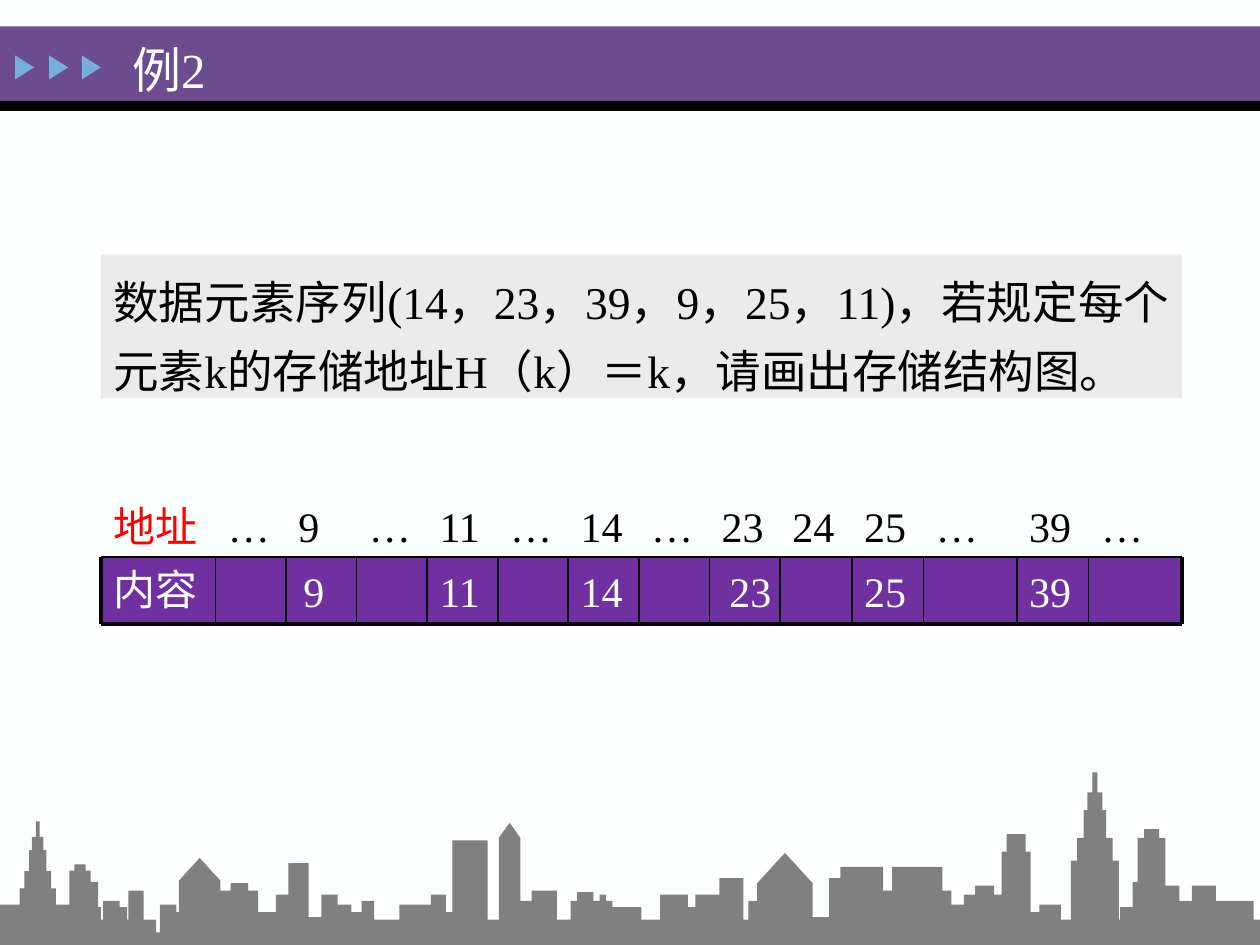
from dataclasses import dataclass
from itertools import accumulate, pairwise

from lxml.etree import SubElement
from pptx import Presentation
from pptx.dml.color import RGBColor
from pptx.enum.shapes import MSO_CONNECTOR as Connector, MSO_SHAPE as Shape
from pptx.enum.text import MSO_ANCHOR as Anchor, PP_ALIGN as Align
from pptx.oxml.ns import qn
from pptx.util import Inches, Pt

COLORS = {
    "background": "FEFFFF", "banner": "6C4C8F", "arrow": "76AEDD", "panel": "EBEBEB",
    "cell": "7030A0", "black": "000000", "red": "FF0000", "skyline": "808080",
}
FONT = "Times New Roman"
SLIDE_WIDTH, SLIDE_HEIGHT = 10, 7.5


@dataclass
class Box:
    left: float
    top: float
    width: float
    height: float

    def lengths(self):
        return [Inches(value) for value in (self.left, self.top, self.width, self.height)]


@dataclass
class Column:
    width: float
    address: str
    content: str = ""
    offset: float = 0


@dataclass
class Block:
    """A flat-roofed building; roof is measured down from the slide's top."""
    left: float
    right: float
    roof: float


@dataclass
class Crowned(Block):
    """A block that carries a narrower storey, set in from both sides."""
    inset: float
    rise: float

    def blocks(self) -> list[Block]:
        crown = Block(self.left + self.inset, self.right - self.inset, self.roof - self.rise)
        return [self, crown]


@dataclass
class Gabled(Block):
    """A block under a pointed roof."""
    rise: float

    def peak(self) -> tuple[float, float]:
        return (self.left + self.right) / 2, self.roof - self.rise


@dataclass
class Spire:
    """A tower whose tiers widen downwards from the tip."""
    center: float
    tip: float
    scale: float

    def blocks(self) -> list[Block]:
        return [Block(self.center - half_width * self.scale, self.center + half_width * self.scale,
                      self.tip + drop * self.scale) for half_width, drop in SPIRE_TIERS]


COLUMNS = [
    Column(0.91, "地址", "内容"), Column(0.56, "…"), Column(0.56, "9", "9", 0.04),
    Column(0.56, "…"), Column(0.56, "11", "11"), Column(0.56, "…"),
    Column(0.56, "14", "14"), Column(0.56, "…"), Column(0.56, "23", "23", 0.06),
    Column(0.57, "24"), Column(0.57, "25", "25"), Column(0.74, "…"),
    Column(0.57, "39", "39"), Column(0.74, "…"),
]
TABLE_LEFT, ADDRESS_TOP, CELL_TOP, CELL_BOTTOM = 0.8, 3.92, 4.42, 4.95

SPIRE_TIERS = [(0.02, 0), (0.06, 0.16), (0.09, 0.3), (0.14, 0.52), (0.19, 0.7)]
SPIRES = [Spire(0.3, 6.52, 0.76), Spire(8.69, 6.13, 1)]
GABLED_HOUSES = [
    Gabled(1.42, 1.75, 6.99, 0.18), Gabled(3.96, 4.13, 6.65, 0.12), Gabled(6.01, 6.45, 7.01, 0.24),
]
CROWNED_HOUSES = [
    Crowned(0.55, 0.72, 6.91, 0.04, 0.05), Crowned(1.75, 2.05, 7.07, 0.08, 0.06),
    Crowned(4.53, 4.76, 7.15, 0.05, 0.07), Crowned(7.95, 8.18, 6.76, 0.04, 0.14),
    Crowned(9.03, 9.25, 6.65, 0.05, 0.07),
]
GROUND = [Block(0, SLIDE_WIDTH, 7.4), Block(0, 1.24, 7.3), Block(1.27, SLIDE_WIDTH, 7.3)]
# Left and right walls of the flat-roofed houses that share a roof level.
FLAT_HOUSES = {
    6.67: [(3.59, 3.87)],
    6.85: [(2.29, 2.45)],
    6.88: [(6.67, 7.01), (7.08, 7.48)],
    6.97: [(5.71, 5.9), (6.58, 6.67)],
    7.0: [(0.72, 0.78), (8.99, 9.03)],
    7.03: [(7.74, 7.89), (9.25, 9.36), (9.46, 9.65)],
    7.07: [(1.02, 1.14), (4.22, 4.42), (7.01, 7.55)],
    7.1: [(2.19, 2.29), (2.55, 2.68), (3.42, 3.54), (4.76, 4.81), (5.24, 5.46),
          (5.52, 5.71), (7.65, 7.95)],
    7.15: [(0.82, 0.95), (2.87, 2.97), (4.13, 4.22), (4.81, 4.86), (5.94, 6.01), (9.25, 9.95)],
    7.18: [(0, 0.55), (1.27, 1.4), (2.68, 2.79), (3.17, 3.54), (7.55, 7.65), (8.25, 8.42)],
    7.2: [(0.78, 0.8), (0.95, 1.01), (4.86, 5.09), (5.46, 5.52), (8.89, 8.99)],
    7.24: [(1.4, 2.19), (2.79, 2.87), (3.54, 3.59), (8.18, 8.25)],
    7.28: [(2.45, 2.55), (6.45, 6.58)],
}


def color(name: str) -> RGBColor:
    return RGBColor.from_string(COLORS[name])


def paint(shape, fill: str) -> None:
    shape.shadow.inherit = False
    shape.fill.solid()
    shape.fill.fore_color.rgb = color(fill)
    shape.line.fill.background()


def add_block(slide, box: Box, fill: str, kind=Shape.RECTANGLE):
    shape = slide.shapes.add_shape(kind, *box.lengths())
    paint(shape, fill)
    return shape


def write(shape, text: str, size: int, font_color: str, anchor=Anchor.TOP, **formats) -> None:
    frame = shape.text_frame
    frame.word_wrap = True
    frame.vertical_anchor = anchor
    paragraph = frame.paragraphs[0]
    for name, value in ({"alignment": Align.LEFT} | formats).items():
        setattr(paragraph, name, value)
    run = paragraph.add_run()
    run.text = text
    for name, value in {"size": Pt(size), "name": FONT}.items():
        setattr(run.font, name, value)
    run.font.color.rgb = color(font_color)


def add_label(slide, box: Box, text: str, size: int, font_color: str, **formats) -> None:
    write(slide.shapes.add_textbox(*box.lengths()), text, size, font_color, **formats)


def add_rule(slide, x1: float, y1: float, x2: float, y2: float, width: float) -> None:
    ends = [Inches(value) for value in (x1, y1, x2, y2)]
    rule = slide.shapes.add_connector(Connector.STRAIGHT, *ends)
    rule.line.color.rgb = color("black")
    rule.line.width = Pt(width)
    SubElement(rule._element.spPr, qn("a:effectLst"))


def add_storage_table(slide) -> None:
    edges = list(accumulate((column.width for column in COLUMNS), initial=TABLE_LEFT))
    right = edges[-1]
    for index, (column, left) in enumerate(zip(COLUMNS, edges)):
        is_header = index == 0
        cell = add_block(slide, Box(left, CELL_TOP, column.width, CELL_BOTTOM - CELL_TOP), "cell")
        add_label(slide, Box(left, ADDRESS_TOP, column.width, CELL_TOP - ADDRESS_TOP),
                  column.address, 24, "red" if is_header else "black")
        if is_header:
            write(cell, column.content, 24, "background")
        elif column.content:
            add_label(slide, Box(left + column.offset, 4.28, 0.57, 0.6),
                      column.content, 24, "background", line_spacing=1.4)
    for edge in edges:
        add_rule(slide, edge, CELL_TOP, edge, CELL_BOTTOM, 2.25 if edge in (TABLE_LEFT, right) else 1)
    for level, width in ((CELL_TOP, 1), (CELL_BOTTOM, 2.25)):
        add_rule(slide, TABLE_LEFT, level, right, level, width)


def skyline_blocks() -> list[Block]:
    flats = [Block(*walls, roof) for roof, spans in FLAT_HOUSES.items() for walls in spans]
    tiers = [block for tower in SPIRES + CROWNED_HOUSES for block in tower.blocks()]
    return GROUND + flats + GABLED_HOUSES + tiers


def add_skyline(slide) -> None:
    """Trace the highest roof between each two neighbouring walls."""
    blocks = skyline_blocks()
    peaks = {house.left: house.peak() for house in GABLED_HOUSES}
    walls = sorted({wall for block in blocks for wall in (block.left, block.right)})
    points = []
    for left, right in pairwise(walls):
        middle = (left + right) / 2
        roof = min(block.roof for block in blocks if block.left < middle < block.right)
        points.append((left, roof))
        if left in peaks:
            points.append(peaks[left])
        points.append((right, roof))
    points.append((SLIDE_WIDTH, SLIDE_HEIGHT))
    builder = slide.shapes.build_freeform(0, Inches(SLIDE_HEIGHT), scale=1)
    builder.add_line_segments([(Inches(x), Inches(y)) for x, y in points], close=True)
    paint(builder.convert_to_shape(), "skyline")


def main() -> None:
    presentation = Presentation()
    presentation.slide_width, presentation.slide_height = Inches(SLIDE_WIDTH), Inches(SLIDE_HEIGHT)
    slide = presentation.slides.add_slide(presentation.slide_layouts[6])
    slide.background.fill.solid()
    slide.background.fill.fore_color.rgb = color("background")
    add_block(slide, Box(0, 0.21, SLIDE_WIDTH, 0.59), "banner")
    add_block(slide, Box(0, 0.8, SLIDE_WIDTH, 0.08), "black")
    for left in (0.1, 0.37, 0.63):
        add_block(slide, Box(left, 0.46, 0.19, 0.15), "arrow", Shape.ISOSCELES_TRIANGLE).rotation = 90
    question = add_block(slide, Box(0.8, 2.02, 8.58, 1.14), "panel")
    write(question, "数据元素序列(14，23，39，9，25，11)，若规定每个元素k的存储地址H（k）＝k，请画出存储结构图。",
          26, "black", alignment=Align.JUSTIFY, line_spacing=1.25)
    add_storage_table(slide)
    add_label(slide, Box(0.95, 0.27, 2.59, 0.56), "例2", 28, "background", anchor=Anchor.MIDDLE)
    add_skyline(slide)
    presentation.save("out.pptx")


if __name__ == "__main__":
    main()
